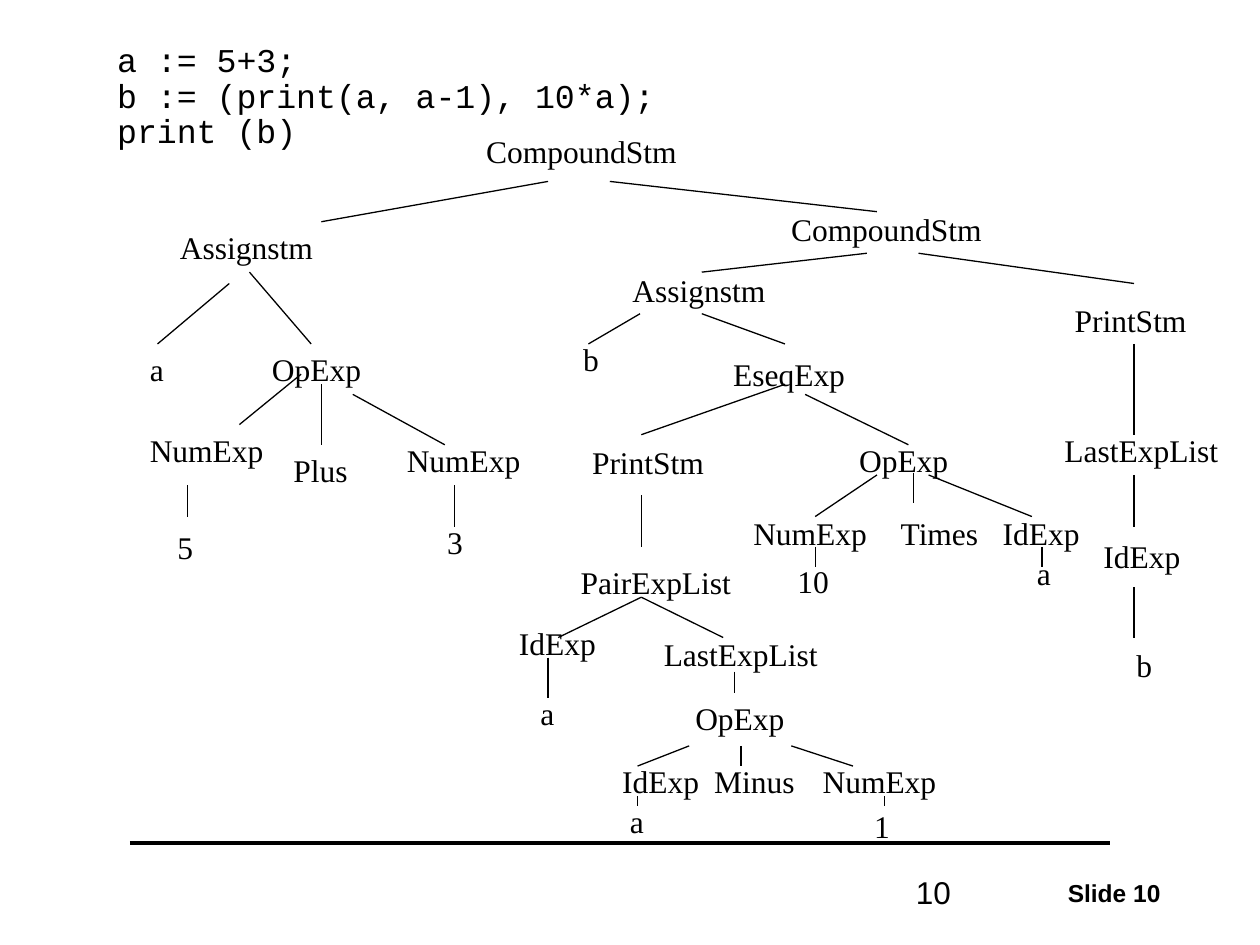
from pptx import Presentation
from pptx.dml.color import RGBColor
from pptx.enum.shapes import MSO_CONNECTOR as Connector
from pptx.enum.text import MSO_ANCHOR as Anchor, MSO_AUTO_SIZE as AutoSize, PP_ALIGN as Align
from pptx.oxml.ns import qn
from pptx.util import Inches, Pt
from lxml.etree import SubElement

BLACK = RGBColor(0x00, 0x00, 0x00)
WHITE = RGBColor(0xFF, 0xFF, 0xFF)
TREE_FONT, CODE_FONT, FOOTER_FONT = "Times New Roman", "Courier New", "Arial"

PROGRAM = ["a := 5+3;", "b := (print(a, a-1), 10*a);", "print (b)"]

LABEL_HEIGHT = 0.4
# Wide enough for each label to stay on one line
LABEL_WIDTHS = {
    "CompoundStm": 1.74, "Assignstm": 1.28, "PrintStm": 1.11,
    "OpExp": 0.93, "NumExp": 1.12, "IdExp": 0.83, "EseqExp": 1.11,
    "PairExpList": 1.42, "LastExpList": 1.44,
    "Plus": 0.65, "Times": 0.84, "Minus": 0.86,
    "a": 0.32, "b": 0.33, "1": 0.33, "3": 0.33, "5": 0.33, "10": 0.46,
}

# Each node: label, left, top, and the branch from its parent (x1, y1, x2, y2)
FIRST_ASSIGNMENT = [
    ("Assignstm", 1.33, 1.76, (4.35, 1.44, 2.55, 1.76)),
    ("a", 1.09, 2.73, (1.82, 2.25, 1.25, 2.73)),
    ("OpExp", 2.06, 2.73, (1.98, 2.16, 2.47, 2.73)),
    ("NumExp", 1.09, 3.37, (2.39, 2.97, 1.9, 3.37)),
    ("5", 1.31, 4.14, (1.49, 3.85, 1.49, 4.1)),
    ("Plus", 2.23, 3.53, (2.55, 3.05, 2.55, 3.53)),
    ("NumExp", 3.13, 3.45, (2.8, 3.13, 3.53, 3.53)),
    ("3", 3.45, 4.1, (3.61, 3.85, 3.61, 4.18)),
]
SECOND_ASSIGNMENT = [
    ("CompoundStm", 6.18, 1.62, (4.84, 1.44, 6.96, 1.68)),
    ("Assignstm", 4.92, 2.1, (6.88, 2.01, 5.57, 2.16)),
    ("b", 4.53, 2.65, (5.08, 2.49, 4.67, 2.73)),
    ("EseqExp", 5.72, 2.77, (5.57, 2.49, 6.23, 2.73)),
]
INNER_PRINT = [
    ("PrintStm", 4.6, 3.47, (6.23, 3.05, 5.09, 3.45)),
    ("PairExpList", 4.51, 4.42, (5.09, 3.93, 5.09, 4.34)),
    ("IdExp", 4.02, 4.9, (5.09, 4.74, 4.43, 5.06)),
    ("a", 4.19, 5.46, (4.35, 5.22, 4.35, 5.54)),
    ("LastExpList", 5.17, 4.99, (5.09, 4.74, 5.74, 5.06)),
    ("OpExp", 5.42, 5.5, (5.83, 5.33, 5.83, 5.5)),
    ("IdExp", 4.84, 6, (5.47, 5.92, 5.06, 6.08)),
    ("a", 4.9, 6.32, (5.06, 6.32, 5.06, 6.4)),
    ("Minus", 5.57, 6, (5.88, 5.92, 5.88, 6.08)),
    ("NumExp", 6.43, 6, (6.28, 5.92, 6.77, 6.08)),
    ("1", 6.84, 6.36, (7.02, 6.32, 7.02, 6.4)),
]
PRODUCT = [
    ("OpExp", 6.72, 3.45, (6.39, 3.13, 7.21, 3.53)),
    ("NumExp", 5.88, 4.03, (6.96, 3.77, 6.47, 4.1)),
    ("10", 6.23, 4.41, (6.47, 4.34, 6.47, 4.5)),
    ("Times", 7.05, 4.03, (7.25, 3.75, 7.25, 3.99)),
    ("IdExp", 7.86, 4.03, (7.37, 3.77, 8.19, 4.1)),
    ("a", 8.13, 4.35, (8.27, 4.34, 8.27, 4.5)),
]
FINAL_PRINT = [
    ("PrintStm", 8.43, 2.34, (7.29, 2.01, 9, 2.25)),
    ("LastExpList", 8.35, 3.37, (9, 2.73, 9, 3.45)),
    ("IdExp", 8.66, 4.21, (9, 3.77, 9, 4.18)),
    ("b", 8.92, 5.08, (9, 4.66, 9, 5.06)),
]
BRANCHES = FIRST_ASSIGNMENT + SECOND_ASSIGNMENT + INNER_PRINT + PRODUCT + FINAL_PRINT


def write_text(frame, text, font=TREE_FONT, size=18, bold=False, align=Align.LEFT,
               anchor=Anchor.TOP, wrap=False, spacing=None):
    frame.word_wrap = wrap
    frame.auto_size = AutoSize.NONE if wrap else AutoSize.SHAPE_TO_FIT_TEXT
    frame.vertical_anchor = anchor
    paragraph = frame.paragraphs[0]
    paragraph.text = text
    paragraph.alignment = align
    paragraph.line_spacing = spacing
    for span in paragraph.runs:
        span.font.name = font
        span.font.size = Pt(size)
        span.font.bold = bold
        span.font.color.rgb = BLACK


class TreeSlide:
    """Holds the page and draws its code, tree and footer."""

    def __init__(self, page):
        self.page = page
        page.background.fill.solid()
        page.background.fill.fore_color.rgb = WHITE

    def code_title(self, lines, left, top, width, height):
        title = self.page.shapes.title
        title.left, title.top = Inches(left), Inches(top)
        title.width, title.height = Inches(width), Inches(height)
        write_text(title.text_frame, "\v".join(lines), font=CODE_FONT, size=19,
                   anchor=Anchor.BOTTOM, wrap=True, spacing=0.9)

    def text(self, text, left, top, width, height, shapes=None, **text_format):
        shapes = shapes or self.page.shapes
        box = shapes.add_textbox(Inches(left), Inches(top), Inches(width), Inches(height))
        write_text(box.text_frame, text, **text_format)

    def line(self, x1, y1, x2, y2, weight=0.75, shapes=None):
        shapes = shapes or self.page.shapes
        line = shapes.add_connector(Connector.STRAIGHT, Inches(x1), Inches(y1),
                                    Inches(x2), Inches(y2))
        line.line.color.rgb = BLACK
        line.line.width = Pt(weight)
        SubElement(line._element.spPr, qn("a:effectLst"))

    def tree(self, root, branches):
        shapes = self.page.shapes.add_group_shape().shapes
        for label, left, top, branch in [root] + branches:
            if branch:
                self.line(*branch, shapes=shapes)
            self.text(label, left, top, LABEL_WIDTHS[label], LABEL_HEIGHT, shapes=shapes)


def main():
    deck = Presentation()
    deck.slide_width, deck.slide_height = Inches(10), Inches(7.5)
    title_only = deck.slide_layouts[5]
    slide = TreeSlide(deck.slides.add_slide(title_only))

    slide.line(1.03, 6.69, 8.81, 6.69, weight=2)
    slide.text("Slide 10", 7.64, 6.92, 1.67, 0.33, font=FOOTER_FONT, size=14,
               bold=True, align=Align.RIGHT)
    slide.code_title(PROGRAM, 0.83, 0.25, 8.5, 1)
    slide.tree(("CompoundStm", 3.76, 1, None), BRANCHES)
    slide.text("10", 7.17, 6.83, 2.08, 0.5, font=FOOTER_FONT,
               anchor=Anchor.MIDDLE, wrap=True)
    deck.save("out.pptx")


if __name__ == "__main__":
    main()
